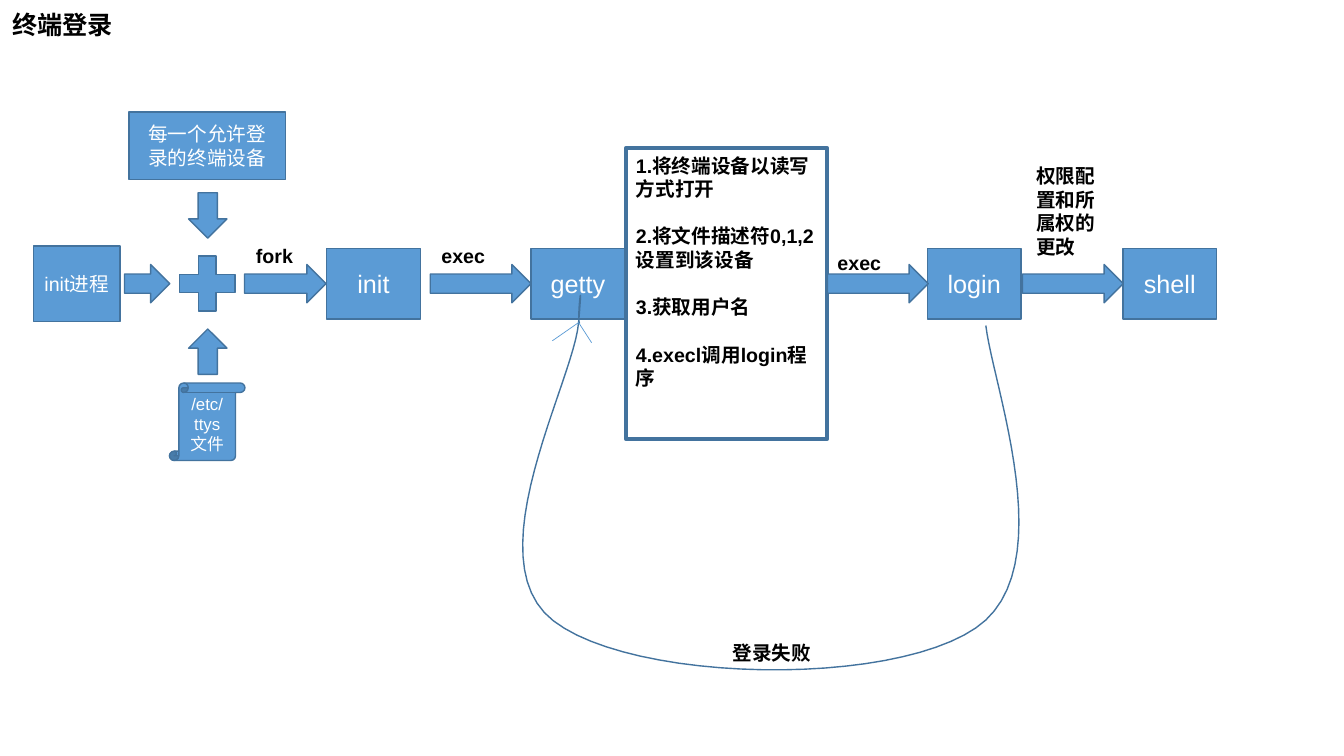
from pptx import Presentation
from pptx.dml.color import RGBColor
from pptx.enum import shapes as sh, text as tx
from pptx.oxml import parse_xml
from pptx.oxml.ns import nsdecls, qn
from pptx.util import Pt

BLUE = RGBColor(0x5B, 0x9B, 0xD5)
EDGE = RGBColor(0x43, 0x73, 0x9E)
WHITE = RGBColor(255, 255, 255)
BLACK = RGBColor(0, 0, 0)
KIND = sh.MSO_SHAPE

TITLE = "终端登录"
STEPS = ["1.将终端设备以读写方式打开", "2.将文件描述符0,1,2设置到该设备",
         "3.获取用户名", "4.execl调用login程序"]
PANEL = (447, 106, 144, 207.4)

# Sources on the left: kind, text, font size, (left, top, width, height)
INPUTS = [
    (KIND.RECTANGLE, "init进程", 14, (23.8, 175.7, 61.9, 54)),
    (KIND.RECTANGLE, "每一个允许登录的终端设备", 14, (92.2, 79.9, 111.6, 48.2)),
    (KIND.VERTICAL_SCROLL, "/etc/ttys文件", 12, (121, 273.6, 54, 55.4)),
    (KIND.MATH_PLUS, "", 14, (121, 175.9, 54, 53.3)),
    (KIND.DOWN_ARROW, "", 14, (134.7, 137.7, 27.4, 32.4)),
    (KIND.UP_ARROW, "", 14, (134.7, 235, 27.4, 32.4)),
]
STAGES = [("init", 233.3), ("getty", 379.4), ("login", 662.4), ("shell", 802.1)]
STAGE_W, STAGE_H = 67, 50.4
ARROWS = [(88.9, 32.4), (174.6, 58.3), (307.4, 72), (591.1, 72), (730.4, 72)]
ARROW_H = 27.4
AXIS = 202.6  # height of the main flow's centre line

LABELS = [
    ("fork", (175.7, 170.6, 65.5, 24.5)),
    ("exec", (308.2, 170.6, 65.5, 24.5)),
    ("exec", (591.1, 175.7, 65.5, 24.5)),
    ("登录失败", (516.2, 454.3, 88.6, 24.5)),
    ("权限配置和所属权的更改", (733, 113.8, 65.5, 74.9)),
]

# Return path after a failed login: start, then Bézier segments
START = (704.2, 232.6)
CURVES = [
    ((709.2, 275.8), (758.9, 406.8), (697, 448.6)),
    ((635, 491), (452.2, 487.4), (395.3, 443.5)),
    ((338.4, 399.6), (409.7, 272.9), (413.3, 230.4)),
    ((416.9, 187.9), (411.8, 228.2), (414, 231.1)),
]
TIP = (413.3, 230.4)
BARBS = [(394.6, 243.4), (422.6, 244.8)]


def place(item, box):
    item.left, item.top, item.width, item.height = map(Pt, box)


def style(frame, size, color, bold=False, align=tx.PP_ALIGN.LEFT):
    frame.word_wrap = True
    for par in frame.paragraphs:
        par.alignment = align
        for run in par.runs:
            font = run.font
            font.name, font.size, font.bold = "Arial", Pt(size), bold
            font.color.rgb = color


def block(kind, text, size, box):
    """Add a blue shape with centred white text."""
    item = slide.shapes.add_shape(kind, *map(Pt, box))
    item.shadow.inherit = False
    item.fill.solid()
    item.fill.fore_color.rgb = BLUE
    item.line.color.rgb = EDGE
    item.line.width = Pt(1)
    if text:
        item.text_frame.text = text
        item.text_frame.vertical_anchor = tx.MSO_ANCHOR.MIDDLE
        style(item.text_frame, size, WHITE, align=tx.PP_ALIGN.CENTER)


def trace(start, curves, count=24):
    """Return points along a chain of cubic Bézier segments."""
    points = []
    for one, two, end in curves:
        for i in range(1, count + 1):
            t = i / count
            s = 1 - t
            points.append(tuple(
                s**3 * a + 3 * s * s * t * b + 3 * s * t * t * c + t**3 * d
                for a, b, c, d in zip(start, one, two, end)))
        start = end
    return points


deck = Presentation()
deck.slide_width, deck.slide_height = Pt(960), Pt(540)
slide = deck.slides.add_slide(deck.slide_layouts[1])

title, steps = slide.placeholders
place(title, (1.4, 2.9, 119.5, 28.8))
title.text_frame.text = TITLE
style(title.text_frame, 18, BLACK, True)

place(steps, PANEL)
steps.line.color.rgb = EDGE
steps.line.width = Pt(3)
steps.text_frame.text = "\n".join(STEPS)
style(steps.text_frame, 14, BLACK, True)
for par in steps.text_frame.paragraphs:
    par.space_before, par.space_after = Pt(0), Pt(17)
    props = par._p.get_or_add_pPr()
    props.set("marL", "0")
    props.set("indent", "0")
    props.append(parse_xml(f"<a:buNone {nsdecls('a')}/>"))

for frame in (title.text_frame, steps.text_frame):
    frame.auto_size = tx.MSO_AUTO_SIZE.NONE
    frame.vertical_anchor = tx.MSO_ANCHOR.TOP

for item in INPUTS:
    block(*item)
for name, left in STAGES:
    block(KIND.RECTANGLE, name, 18, (left, AXIS - STAGE_H / 2, STAGE_W, STAGE_H))
for left, width in ARROWS:
    block(KIND.RIGHT_ARROW, "", 14, (left, AXIS - ARROW_H / 2, width, ARROW_H))

pen = slide.shapes.build_freeform(*map(Pt, START))
pen.add_line_segments([tuple(map(Pt, p)) for p in trace(START, CURVES)], close=False)
loop = pen.convert_to_shape()
loop.shadow.inherit = False
loop.fill.background()
loop.line.color.rgb = EDGE
loop.line.width = Pt(1)

for barb in BARBS:
    line = slide.shapes.add_connector(sh.MSO_CONNECTOR.STRAIGHT, *map(Pt, barb + TIP))
    line.line.color.rgb = BLUE
    line.line.width = Pt(0.5)
    line._element.find(qn("p:spPr")).append(parse_xml(f"<a:effectLst {nsdecls('a')}/>"))

for text, box in LABELS:
    label = slide.shapes.add_textbox(*map(Pt, box))
    label.text_frame.text = text
    style(label.text_frame, 14, BLACK, True)

deck.save("out.pptx")
